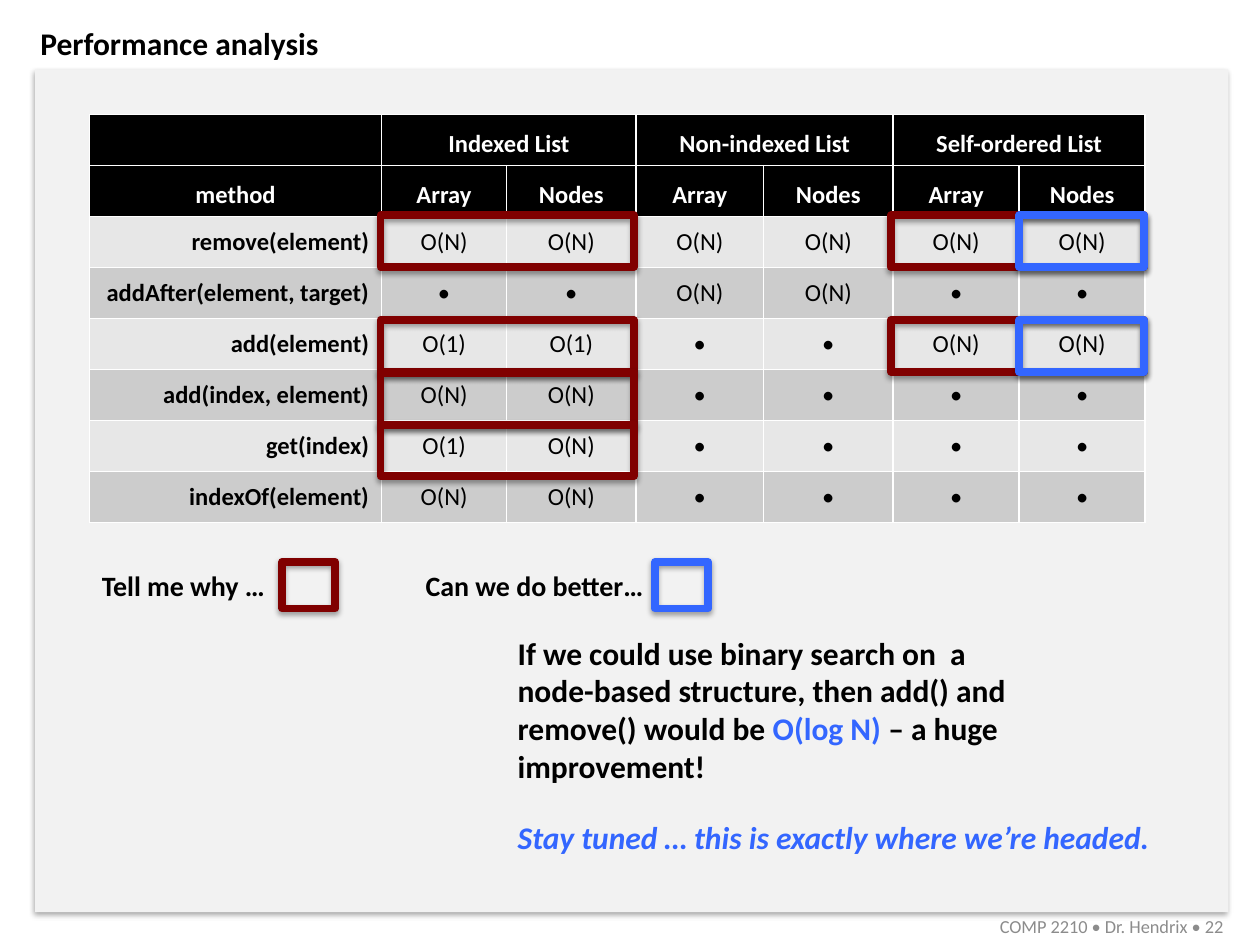
from lxml import etree
from pptx import Presentation
from pptx.dml.color import RGBColor
from pptx.enum import shapes, text
from pptx.oxml import ns
from pptx.util import Inches, Pt

FONT = "Calibri"
BLACK, WHITE, RED, BLUE = "000000", "FFFFFF", "800000", "3366FF"
LEFT, CENTER, RIGHT = text.PP_ALIGN.LEFT, text.PP_ALIGN.CENTER, text.PP_ALIGN.RIGHT
MIDDLE, BOTTOM = text.MSO_ANCHOR.MIDDLE, text.MSO_ANCHOR.BOTTOM

COLUMN_WIDTHS = [2.32, 0.99, 1.03, 1.01, 1.03, 1, 1]
ROW_HEIGHT = 3.24 / 8
LISTS = ["Indexed List", "Non-indexed List", "Self-ordered List"]
COSTS = {
    "remove(element)": ["O(N)"] * 6,
    "addAfter(element, target)": ["•", "•", "O(N)", "O(N)", "•", "•"],
    "add(element)": ["O(1)", "O(1)", "•", "•", "O(N)", "O(N)"],
    "add(index, element)": ["O(N)", "O(N)", "•", "•", "•", "•"],
    "get(index)": ["O(1)", "O(N)", "•", "•", "•", "•"],
    "indexOf(element)": ["O(N)", "O(N)", "•", "•", "•", "•"],
}

# Tops of the outlined table rows
REMOVE, ADD, ADD_AT, GET = 1.71, 2.54, 2.96, 3.37
# Left and width of the outlined column ranges
INDEXED, SELF_ORDERED, SELF_ORDERED_NODES = (3.02, 2.01), (7.07, 2.01), (8.09, 0.99)


def color(value):
    return RGBColor.from_string(value)


def write(paragraph, runs, align=LEFT, **formats):
    """Add (text, colour) runs that share one set of font values."""
    paragraph.alignment = align
    for words, run_color in runs:
        run = paragraph.add_run()
        run.text = words
        for name, value in {"name": FONT, **formats}.items():
            setattr(run.font, name, value)
        run.font.color.rgb = color(run_color)


def place(shape, left, top, width, height):
    for name, value in zip(("left", "top", "width", "height"), (left, top, width, height)):
        setattr(shape, name, Inches(value))


def add_text(parent, box, runs, wrap=False, anchor=text.MSO_ANCHOR.TOP, **formats):
    shape = parent.add_textbox(*map(Inches, box))
    shape.text_frame.word_wrap = wrap
    shape.text_frame.vertical_anchor = anchor
    write(shape.text_frame.paragraphs[0], runs, **formats)


def add_shadow(shape):
    """Give the shape a soft shadow falling straight down."""
    shape.shadow.inherit = False
    effects = shape._element.spPr.find(ns.qn("a:effectLst"))
    shadow = etree.SubElement(effects, ns.qn("a:outerShdw"), blurRad=str(Pt(3.1)),
                              dist=str(Pt(1.8)), dir="5400000", rotWithShape="0")
    shade = etree.SubElement(shadow, ns.qn("a:srgbClr"), val=BLACK)
    etree.SubElement(shade, ns.qn("a:alpha"), val="35000")


def add_panel(parent):
    panel = parent.add_shape(shapes.MSO_SHAPE.RECTANGLE,
                             *map(Inches, (0.28, 0.55, 9.47, 6.69)))
    panel.fill.solid()
    panel.fill.fore_color.rgb = color("F2F2F2")
    panel.line.fill.background()
    add_shadow(panel)


def add_frame(parent, box, line_color):
    frame = parent.add_shape(shapes.MSO_SHAPE.RECTANGLE, *map(Inches, box))
    frame.fill.background()
    frame.line.color.rgb = color(line_color)
    frame.line.width = Pt(4.5)
    add_shadow(frame)


def add_legend(parent, label_box, label, frame_left, line_color):
    group = parent.add_group_shape().shapes
    add_text(group, label_box, [(label, BLACK)], size=Pt(16), bold=True)
    add_frame(group, (frame_left, 4.46, 0.42, 0.37), line_color)


def fill_cell(cell, words, fill, anchor=MIDDLE, font_color=BLACK, align=CENTER, bold=False):
    cell.fill.solid()
    cell.fill.fore_color.rgb = color(fill)
    cell.vertical_anchor = anchor
    if words:
        write(cell.text_frame.paragraphs[0], [(words, font_color)], align,
              size=Pt(14), bold=bold)


def add_cost_table(parent):
    box = (0.71, 0.91, sum(COLUMN_WIDTHS), 8 * ROW_HEIGHT)
    table = parent.add_table(8, 7, *map(Inches, box)).table
    for column, width in zip(table.columns, COLUMN_WIDTHS):
        column.width = Inches(width)
    for row in table.rows:
        row.height = Inches(ROW_HEIGHT)

    headings = [[""], ["method"]]
    for name in LISTS:
        headings[0] += [name, ""]
        headings[1] += ["Array", "Nodes"]
    for row, names in enumerate(headings):
        for column, name in enumerate(names):
            fill_cell(table.cell(row, column), name, BLACK, BOTTOM, WHITE, bold=True)
    for column in (1, 3, 5):
        table.cell(0, column).merge(table.cell(0, column + 1))

    for row, (method, costs) in enumerate(COSTS.items(), start=2):
        fill = "CCCCCC" if row % 2 else "E7E7E7"
        fill_cell(table.cell(row, 0), method, fill, align=RIGHT, bold=True)
        for column, cost in enumerate(costs, start=1):
            fill_cell(table.cell(row, column), cost, fill)


def add_title(slide):
    title = slide.shapes.title
    place(title, 0.22, 0.14, 2.45, 0.4)
    title.text_frame.word_wrap = False
    title.text_frame.vertical_anchor = text.MSO_ANCHOR.TOP
    write(title.text_frame.paragraphs[0], [("Performance analysis", BLACK)],
          size=Pt(18), bold=True)


def main():
    presentation = Presentation()
    presentation.slide_width, presentation.slide_height = Inches(10), Inches(7.5)
    slide = presentation.slides.add_slide(presentation.slide_layouts[5])
    parent = slide.shapes

    add_title(slide)
    add_panel(parent)
    add_text(parent, (7.48, 7.15, 2.33, 0.4), [("COMP 2210 • Dr. Hendrix • 22", "8C8C8C")],
             wrap=True, anchor=MIDDLE, align=RIGHT, size=Pt(10.5))
    add_cost_table(parent)

    add_text(parent, (4.01, 4.98, 4.28, 1.31), [
        ("If we could use binary search on  a node-based structure, "
         "then add() and remove() would be ", BLACK),
        ("O(log N) ", BLUE),
        ("– a huge improvement!", BLACK),
    ], wrap=True, size=Pt(18), bold=True)
    add_text(parent, (4.01, 6.44, 5.35, 0.4),
             [("Stay tuned … this is exactly where we’re headed.", BLUE)],
             size=Pt(18), bold=True, italic=True)

    add_legend(parent, (0.71, 4.46, 1.54, 0.37), "Tell me why …", 2.24, RED)
    for (left, width), tops in ((INDEXED, (REMOVE, ADD, ADD_AT, GET)),
                                (SELF_ORDERED, (ADD, REMOVE))):
        for top in tops:
            add_frame(parent, (left, top, width, 0.41), RED)

    add_legend(parent, (3.28, 4.46, 1.96, 0.37), "Can we do better…", 5.2, BLUE)
    left, width = SELF_ORDERED_NODES
    for top in (REMOVE, ADD):
        add_frame(parent, (left, top, width, 0.41), BLUE)

    presentation.save("out.pptx")


if __name__ == "__main__":
    main()
